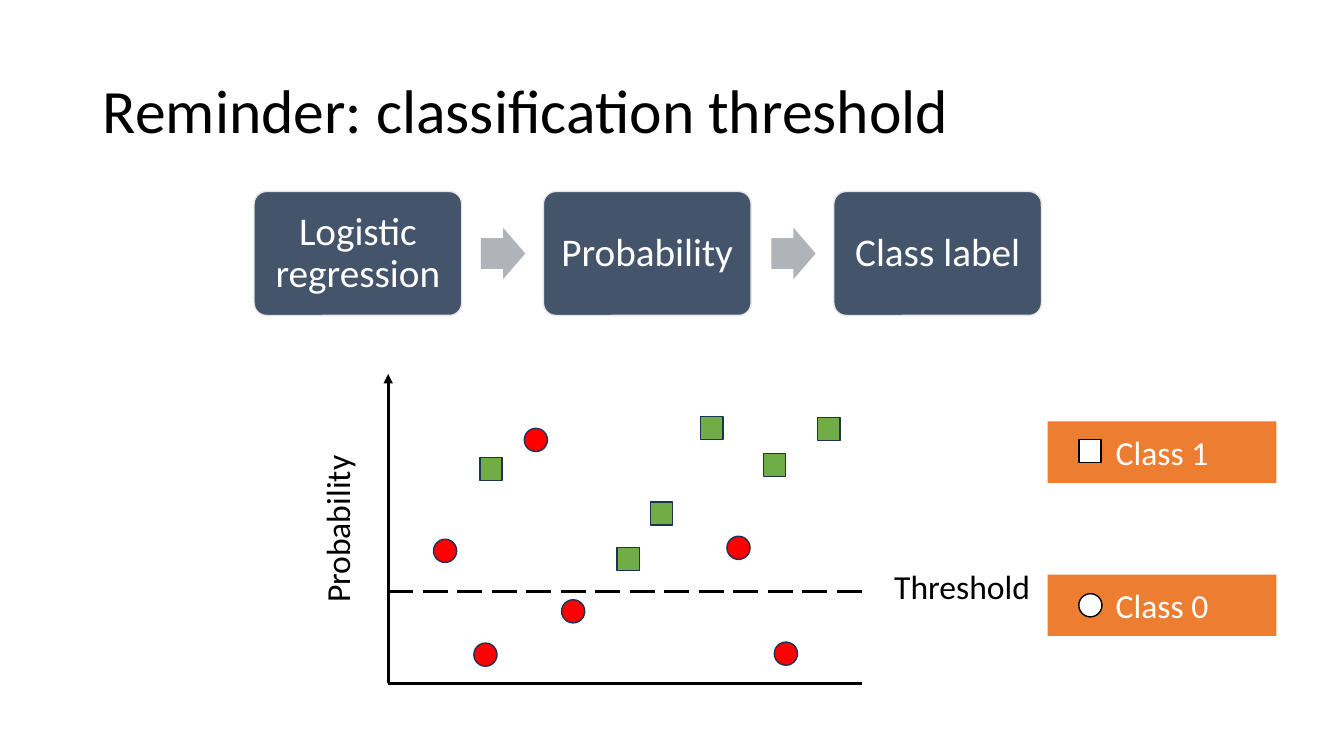
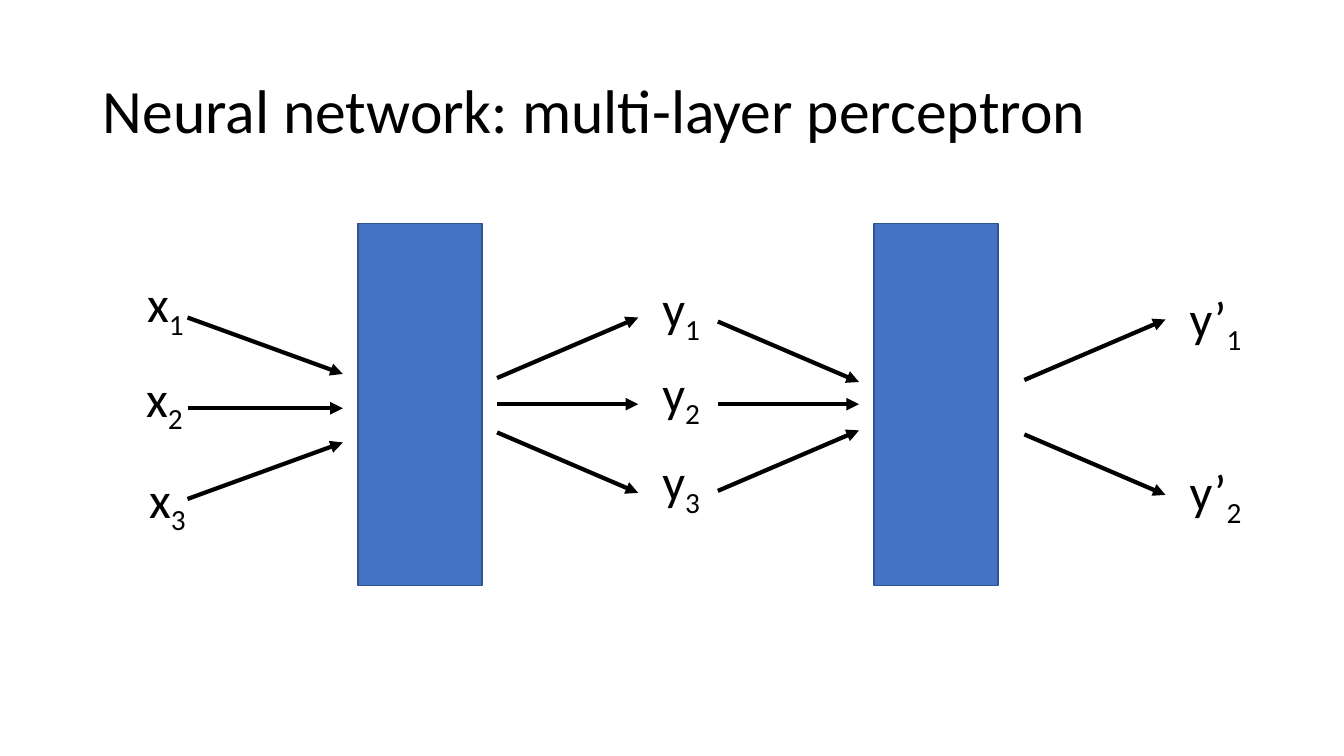
from lxml import etree
from pptx import Presentation
from pptx import util as u
from pptx.dml.color import RGBColor
from pptx.enum import dml, shapes, text
from pptx.oxml import ns

PX = 9144
FONT = "Calibri"
BLACK, WHITE = "000000", "FFFFFF"
RED, GREEN, ORANGE = "FF0000", "70AD47", "ED7D31"
SLATE, PALE, GREY = "44546A", "E7E6E6", "B0B4B9"
BLUE, BLUE_EDGE, NAVY = "4472C4", "325491", "1E3256"
RECTANGLE = shapes.MSO_SHAPE.RECTANGLE
OVAL = shapes.MSO_SHAPE.OVAL
LEFT, CENTER = text.PP_ALIGN.LEFT, text.PP_ALIGN.CENTER
MIDDLE = text.MSO_ANCHOR.MIDDLE


def px(*lengths):
    """Turn lengths in px into a list of EMU lengths."""
    return [u.Emu(length * PX) for length in lengths]


def color(hex_string):
    """Return the colour for a hex string."""
    return RGBColor.from_string(hex_string)


def format_text(frame, size, hex_string, align=LEFT, spacing=None):
    """Format every paragraph and run of a text frame."""
    frame.word_wrap = True
    for paragraph in frame.paragraphs:
        paragraph.alignment = align
        paragraph.line_spacing = spacing
        for run in paragraph.runs:
            run.font.name = FONT
            run.font.size = u.Pt(size)
            run.font.color.rgb = color(hex_string)


def add_titled_slide(presentation, title):
    """Add a title-only slide with the shared title style."""
    slide = presentation.slides.add_slide(presentation.slide_layouts[5])
    shape = slide.shapes.title
    shape.left, shape.top, shape.width, shape.height = px(92, 40, 1150, 145)
    shape.text_frame.text = title
    shape.text_frame.vertical_anchor = MIDDLE
    format_text(shape.text_frame, 44, BLACK, spacing=0.9)
    return slide


def add_shape(slide, kind, box, fill, line=None):
    """Add a flat preset shape with an optional thin outline."""
    shape = slide.shapes.add_shape(kind, *px(*box))
    shape.shadow.inherit = False
    shape.fill.solid()
    shape.fill.fore_color.rgb = color(fill)
    if line:
        shape.line.color.rgb = color(line)
        shape.line.width = u.Pt(1)
    else:
        shape.line.fill.background()
    return shape


def add_line(slide, start, end, width, arrow=False, dash=None):
    """Add a straight black line, dashed or with an arrowhead if asked."""
    connector = slide.shapes.add_connector(
        shapes.MSO_CONNECTOR.STRAIGHT, *px(*start, *end))
    connector.line.color.rgb = color(BLACK)
    connector.line.width = u.Pt(width)
    if dash:
        connector.line.dash_style = dash
    properties = connector._element.spPr
    if arrow:
        outline = properties.find(ns.qn("a:ln"))
        etree.SubElement(outline, ns.qn("a:tailEnd"), type="triangle")
    etree.SubElement(properties, ns.qn("a:effectLst"))


def add_label(slide, box, words, size, subscript=None):
    """Add a black text label, with an optional subscript."""
    label = slide.shapes.add_textbox(*px(*box))
    frame = label.text_frame
    frame.text = words
    frame.margin_right = 0
    if subscript:
        run = frame.paragraphs[0].add_run()
        run.text = subscript
        run._r.get_or_add_rPr().set("baseline", "-25000")
    format_text(frame, size, BLACK)
    return label


def add_process(slide, steps):
    """Add a row of rounded boxes joined by block arrows."""
    for index, step in enumerate(steps):
        offset = index * 575 // 2
        if index:
            arrow = add_shape(slide, shapes.MSO_SHAPE.RIGHT_ARROW,
                              (190 + offset, 226, 44, 51), GREY)
            arrow.adjustments[0] = 0.6
        box = add_shape(slide, shapes.MSO_SHAPE.ROUNDED_RECTANGLE,
                        (252 + offset, 190, 206, 123), SLATE, PALE)
        box.adjustments[0] = 0.1
        frame = box.text_frame
        frame.text = step
        frame.margin_left, frame.margin_right = px(12, 12)
        frame.vertical_anchor = MIDDLE
        format_text(frame, 28, WHITE, CENTER, 0.9)


def add_markers(slide, kind, fill, line, points):
    """Add one marker of a kind at each left and top position."""
    width = 23 if kind == OVAL else 22
    for left, top in points:
        add_shape(slide, kind, (left, top, width, 23), fill, line)


def add_legend_entry(slide, top, words, kind, marker):
    """Add an orange legend bar with its white marker."""
    bar = add_shape(slide, RECTANGLE, (1039, top, 227, 61), ORANGE)
    bar.text_frame.text = words
    bar.text_frame.vertical_anchor = MIDDLE
    format_text(bar.text_frame, 24, WHITE, CENTER)
    add_markers(slide, kind, WHITE, BLACK, [marker])


def add_fan(slide, left, right, heights):
    """Add arrows from left to right between pairs of heights."""
    for start, end in heights:
        add_line(slide, (left, start), (right, end), 3, arrow=True)


def add_variables(slide, symbol, width, positions):
    """Add numbered variables at the given left and top positions."""
    for number, (left, top) in enumerate(positions, 1):
        add_label(slide, (left, top, width, 71), symbol, 36, str(number))


def add_threshold_slide(presentation):
    """Add the slide on the classification threshold."""
    slide = add_titled_slide(presentation, "Reminder: classification threshold")
    add_process(slide, ["Logistic regression", "Probability", "Class label"])
    add_line(slide, (385, 678), (385, 371), 2.25, arrow=True)
    add_line(slide, (385, 678), (855, 678), 2.25)
    add_line(slide, (385, 587), (855, 587), 2.25, dash=dml.MSO_LINE.LONG_DASH)
    add_label(slide, (250, 499, 168, 50), "Probability", 24).rotation = 270
    add_label(slide, (877, 557, 156, 50), "Threshold", 24)
    add_markers(slide, OVAL, RED, NAVY, [
        (721, 532), (557, 595), (470, 638), (520, 425), (430, 535), (768, 637)])
    add_markers(slide, RECTANGLE, GREEN, NAVY, [
        (476, 454), (811, 414), (645, 498), (695, 413), (757, 450), (612, 543)])
    add_legend_entry(slide, 418, "Class 1", RECTANGLE, (1070, 436))
    add_legend_entry(slide, 570, "Class 0", OVAL, (1070, 589))


def add_perceptron_slide(presentation):
    """Add the slide on the multi-layer perceptron."""
    slide = add_titled_slide(presentation, "Neural network: multi-layer perceptron")
    for left in (355, 867):
        add_shape(slide, RECTANGLE, (left, 222, 123, 359), BLUE, BLUE_EDGE)
    add_fan(slide, 186, 340, [(315, 371), (405, 405), (495, 439)])
    add_fan(slide, 493, 633, [(375, 315), (401, 401), (429, 489)])
    add_fan(slide, 712, 852, [(319, 379), (401, 401), (487, 427)])
    add_fan(slide, 1016, 1156, [(377, 317), (431, 491)])
    add_variables(slide, "x", 59, [(136, 265), (135, 359), (138, 459)])
    add_variables(slide, "y", 75, [(647, 270), (647, 354), (647, 442)])
    add_variables(slide, "y’", 75, [(1170, 280), (1170, 452)])


def main():
    """Build and save the presentation."""
    presentation = Presentation()
    presentation.slide_width, presentation.slide_height = px(1333, 750)
    add_threshold_slide(presentation)
    add_perceptron_slide(presentation)
    presentation.save("out.pptx")


if __name__ == "__main__":
    main()
